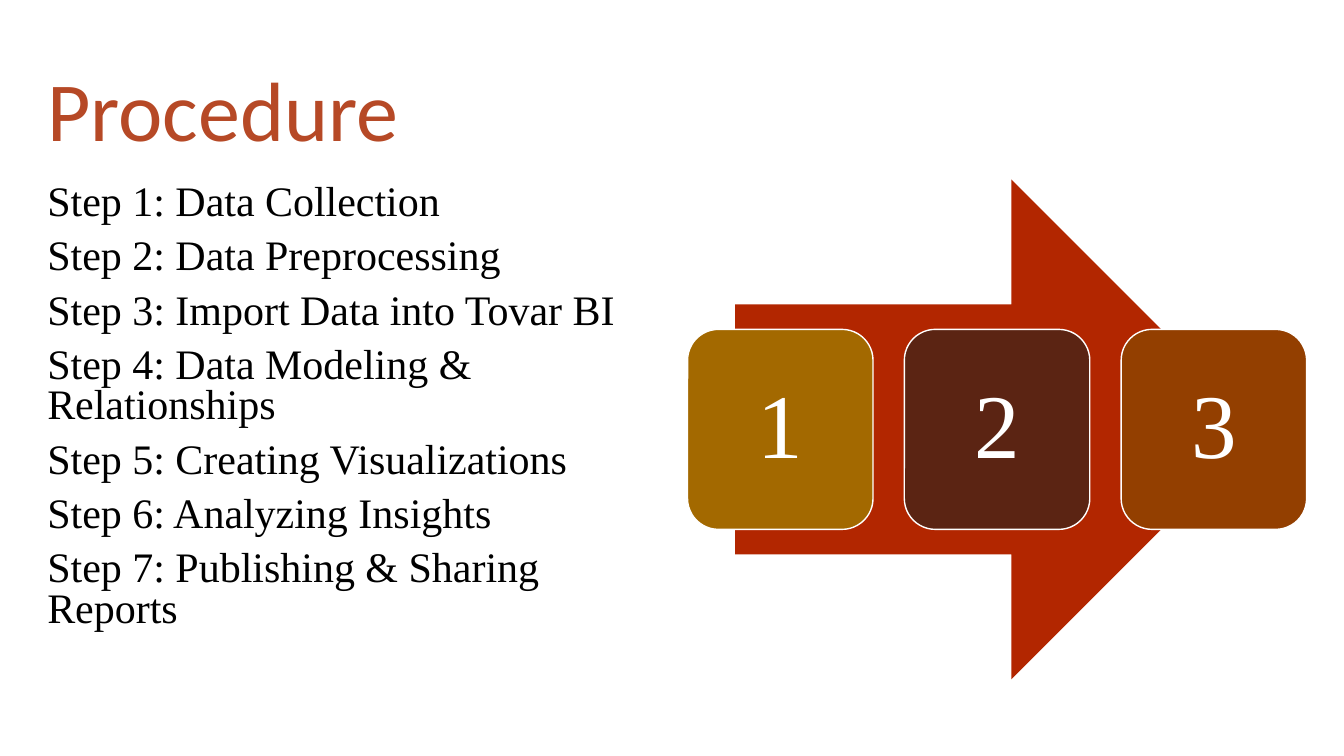
from dataclasses import dataclass

from pptx import Presentation
from pptx.dml.color import RGBColor
from pptx.enum.shapes import MSO_SHAPE as Preset
from pptx.enum.text import MSO_ANCHOR as Anchor, PP_ALIGN as Align
from pptx.util import Inches, Pt

SLIDE_WIDTH, SLIDE_HEIGHT = Inches(13.33), Inches(7.5)
SERIF = "Times New Roman"
STEPS = [
    "Data Collection",
    "Data Preprocessing",
    "Import Data into Tovar BI",
    "Data Modeling & Relationships",
    "Creating Visualizations",
    "Analyzing Insights",
    "Publishing & Sharing Reports",
]
CARD_COLOURS = ["A36900", "5B2413", "933F00"]


@dataclass(frozen=True)
class Area:
    """A place on the slide, in percent of its width and height."""
    left: float
    top: float
    width: float
    height: float

    def emu(self) -> tuple[int, int, int, int]:
        return (round(self.left * SLIDE_WIDTH / 100),
                round(self.top * SLIDE_HEIGHT / 100),
                round(self.width * SLIDE_WIDTH / 100),
                round(self.height * SLIDE_HEIGHT / 100))


@dataclass(frozen=True)
class Block:
    area: Area
    preset: Preset
    fill: str
    outline: str | None = None


TITLE = Area(2.78, 3.87, 94.5, 17.87)
STEP_LIST = Area(2.78, 23.73, 46.06, 66.13)
ARROW = Area(54.69, 23.73, 39.16, 66.13)
CARD_LEFT, CARD_WIDTH, CARD_PITCH = 51.16, 13.8, 16.13
CARD_HEIGHT = ARROW.height * 0.4
CARD_TOP = ARROW.top + (ARROW.height - CARD_HEIGHT) / 2


def colour(hex_code: str) -> RGBColor:
    return RGBColor.from_string(hex_code)


def write(holder, lines: list[str], *, size: float, ink: str, font: str = SERIF,
          align: Align = Align.LEFT, anchor: Anchor = Anchor.TOP,
          line_spacing: float = 0.9, gap: float = 0) -> None:
    frame = holder.text_frame
    frame.word_wrap = True
    frame.vertical_anchor = anchor
    for index, line in enumerate(lines):
        paragraph = frame.add_paragraph() if index else frame.paragraphs[0]
        paragraph.text = line
        paragraph.alignment = align
        paragraph.line_spacing = line_spacing
        paragraph.space_before = Pt(gap if index else 0)
        paragraph.font.name = font
        paragraph.font.size = Pt(size)
        paragraph.font.color.rgb = colour(ink)


def draw(slide, block: Block):
    figure = slide.shapes.add_shape(block.preset, *block.area.emu())
    figure.shadow.inherit = False
    figure.fill.solid()
    figure.fill.fore_color.rgb = colour(block.fill)
    if block.outline:
        figure.line.color.rgb = colour(block.outline)
        figure.line.width = Pt(1)
    else:
        figure.line.fill.background()
    return figure


def main() -> None:
    deck = Presentation()
    deck.slide_width, deck.slide_height = SLIDE_WIDTH, SLIDE_HEIGHT
    slide = deck.slides.add_slide(deck.slide_layouts[6])

    # Heading and list of steps
    heading = slide.shapes.add_textbox(*TITLE.emu())
    write(heading, ["Procedure"], size=60, ink="B64926", font="Calibri",
          anchor=Anchor.BOTTOM)
    step_list = slide.shapes.add_textbox(*STEP_LIST.emu())
    write(step_list, [f"Step {n}: {step}" for n, step in enumerate(STEPS, 1)],
          size=30, ink="000000", line_spacing=0.8, gap=10)

    # Arrow with numbered cards on top
    draw(slide, Block(ARROW, Preset.RIGHT_ARROW, "B22600"))
    for index, fill in enumerate(CARD_COLOURS):
        area = Area(CARD_LEFT + index * CARD_PITCH, CARD_TOP, CARD_WIDTH, CARD_HEIGHT)
        card = draw(slide, Block(area, Preset.ROUNDED_RECTANGLE, fill, "FFFFFF"))
        write(card, [str(index + 1)], size=65, ink="FFFFFF",
              align=Align.CENTER, anchor=Anchor.MIDDLE)

    deck.save("out.pptx")


if __name__ == "__main__":
    main()
